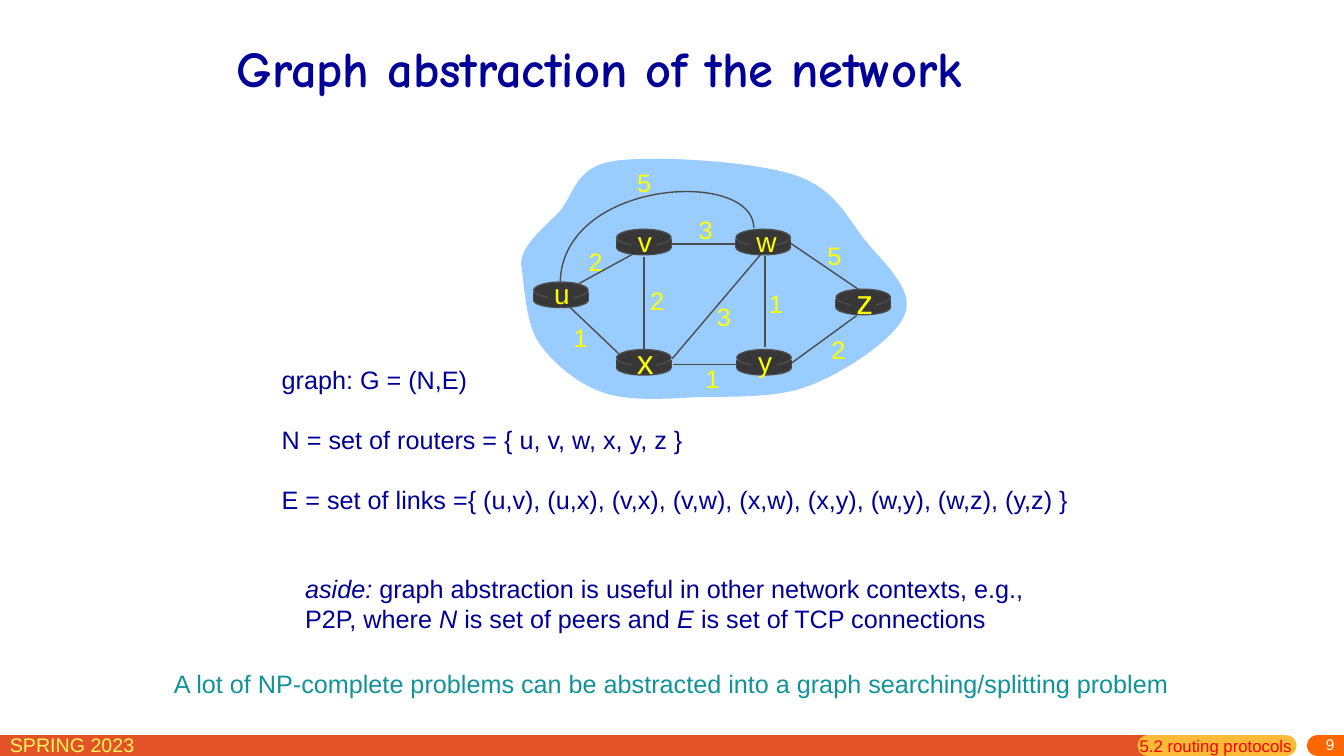
from lxml import etree
from pptx import Presentation, util as u
from pptx.dml.color import RGBColor
from pptx.enum import shapes, text
from pptx.oxml.ns import qn

NAVY = RGBColor(0x00, 0x00, 0x99)
TEAL = RGBColor(0x10, 0x94, 0x99)
SKY = RGBColor(0x99, 0xCC, 0xFF)
CHARCOAL = RGBColor(0x37, 0x37, 0x37)
GREY = RGBColor(0x4C, 0x4C, 0x4C)
YELLOW = RGBColor(0xFF, 0xFF, 0x00)
LEMON = RGBColor(0xFF, 0xF6, 0x5C)
BRICK = RGBColor(0xE4, 0x53, 0x27)
AMBER = RGBColor(0xFF, 0xBA, 0x37)
ORANGE = RGBColor(0xFF, 0x66, 0x00)
RED = RGBColor(0xFF, 0x00, 0x00)
WHITE = RGBColor(0xFF, 0xFF, 0xFF)

# All lengths below are centimetres; graph parts are relative to the graph's box.
CLOUD = [
    (0, 2.74), (0.03, 2.24), (0.56, 1.85), (0.97, 1.42), (1.35, 0.99), (1.35, 0.3),
    (2.34, 0.15), (3.3, 0), (5.77, 0.15), (6.83, 0.48), (7.9, 0.81), (8.2, 1.55),
    (8.66, 2.13), (9.14, 2.72), (9.91, 3.38), (9.68, 3.99), (9.47, 4.6), (8.2, 5.44),
    (7.32, 5.79), (6.43, 6.15), (5.26, 6.07), (4.37, 6.1), (3.51, 6.15), (2.69, 6.2),
    (2.03, 5.97), (1.4, 5.74), (0.79, 5.23), (0.43, 4.7), (0.1, 4.17), (0.08, 3.15),
    (0, 2.74),
]
ARC_U_W = [(5.87, 1.83), (5.84, 0.33), (1.07, 0.61), (0.99, 3.18)]
ARC_COST = ("5", (3.1, 0.69))
LINKS = [  # start, end, cost, centre of the cost
    ((1.47, 3.23), (2.97, 2.41), "2", (1.88, 2.69)),
    ((3.1, 2.57), (3.1, 4.93), "2", (3.43, 3.66)),
    ((2.46, 5), (1.24, 3.84), "1", (1.5, 4.6)),
    ((3.81, 5.13), (6.05, 2.49), "3", (5.11, 4.06)),
    ((5.46, 5.28), (3.84, 5.28), "1", (4.83, 5.64)),
    ((6.15, 2.54), (6.15, 4.83), "1", (6.43, 3.73)),
    ((6.83, 5.23), (8.46, 4.04), "2", (8, 4.9)),
    ((8.53, 3.4), (6.78, 2.21), "5", (7.9, 2.54)),
    ((5.44, 2.24), (3.81, 2.24), "3", (4.65, 1.88)),
]
ROUTERS = [  # name, left, top, text size
    ("u", 0.32, 3.2, 20), ("x", 2.41, 4.9, 24), ("v", 2.41, 1.87, 20),
    ("w", 5.42, 1.87, 20), ("y", 5.44, 4.9, 20), ("z", 7.94, 3.38, 24),
]


def add_runs(paragraph, runs, size, color, name="Arial", bold=False):
    """Fill a paragraph from (words, italic) pairs."""
    for words, italic in runs:
        run = paragraph.add_run()
        run.text = words
        run.font.color.rgb = color
        style = {"size": u.Pt(size), "name": name, "bold": bold, "italic": italic}
        for attribute, value in style.items():
            setattr(run.font, attribute, value)


def add_text(slide, box, lines, size, color, align=text.PP_ALIGN.LEFT,
             anchor=text.MSO_ANCHOR.TOP, gap=0, wrap=False):
    """Place a text box; each line is a string or a list of (words, italic)."""
    frame = slide.shapes.add_textbox(*map(u.Cm, box)).text_frame
    frame.word_wrap = wrap
    frame.vertical_anchor = anchor
    for index, line in enumerate(lines):
        paragraph = frame.add_paragraph() if index else frame.paragraphs[0]
        paragraph.alignment = align
        paragraph.space_before = u.Pt(gap if index else 0)
        add_runs(paragraph, [(line, False)] if isinstance(line, str) else line, size, color)
    return frame


def add_centred(slide, x, y, label, size):
    """Centre a one-letter label on a point, in a box as high as its line."""
    width, height = 0.9, round(0.25 + size * 0.0425, 2)
    add_text(slide, (x - width / 2, y - height / 2, width, height), [label], size, YELLOW,
             text.PP_ALIGN.CENTER)


def add_line(slide, start, end, color=GREY, width=1, cap="flat"):
    line = slide.shapes.add_connector(
        shapes.MSO_CONNECTOR.STRAIGHT, *map(u.Cm, (*start, *end)))
    line.line.color.rgb = color
    line.line.width = u.Pt(width)
    line.line._get_or_add_ln().set("cap", cap)
    etree.SubElement(line._element.spPr, qn("a:effectLst"))


def add_solid(slide, kind, box, outlined=False):
    shape = slide.shapes.add_shape(kind, *map(u.Cm, box))
    shape.shadow.inherit = False
    shape.fill.solid()
    shape.fill.fore_color.rgb = CHARCOAL
    if outlined:
        shape.line.color.rgb = GREY
        shape.line.width = u.Pt(1)
    else:
        shape.line.fill.background()


def add_curve(slide, left, top, controls, close):
    """Draw a chain of cubic Bézier segments that share their end points."""
    start, *rest = [(u.Cm(left + x), u.Cm(top + y)) for x, y in controls]
    builder = slide.shapes.build_freeform(*start)
    builder.add_line_segments(rest, close=close)
    shape = builder.convert_to_shape()
    shape.shadow.inherit = False
    sides = list(shape._element.iter(qn("a:lnTo")))
    for first in range(0, len(rest), 3):
        curve = etree.Element(qn("a:cubicBezTo"))
        sides[first].addprevious(curve)
        for side in sides[first:first + 3]:
            curve.append(side[0])
            side.getparent().remove(side)
    return shape


def add_router(slide, left, top, name, size):
    width, side_top, side_height = 1.37, top + 0.25, 0.22
    add_solid(slide, shapes.MSO_SHAPE.OVAL, (left, top + 0.28, width, 0.36), True)
    for x in (left, left + width):
        add_line(slide, (x, side_top), (x, side_top + side_height))
    add_solid(slide, shapes.MSO_SHAPE.RECTANGLE, (left, side_top, width, side_height))
    add_solid(slide, shapes.MSO_SHAPE.OVAL, (left, top, width, 0.41), True)
    add_solid(slide, shapes.MSO_SHAPE.RECTANGLE, (left + 0.37, top + 0.04, 0.63, 0.58))
    add_centred(slide, left + 0.71, top + 0.29, name, size)


def add_graph(slide, left, top):
    cloud = add_curve(slide, left, top, CLOUD, True)
    cloud.fill.solid()
    cloud.fill.fore_color.rgb = SKY
    cloud.line.fill.background()
    for start, end, _, _ in LINKS:
        add_line(slide, *((left + x, top + y) for x, y in (start, end)))
    arc = add_curve(slide, left, top, ARC_U_W, False)
    arc.fill.background()
    arc.line.color.rgb = GREY
    arc.line.width = u.Pt(1)
    for name, x, y, size in ROUTERS:
        add_router(slide, left + x, top + y, name, size)
    for cost, (x, y) in [link[2:] for link in LINKS] + [ARC_COST]:
        add_centred(slide, left + x, top + y, cost, 18)


def add_title(slide, box):
    title = slide.shapes.title
    for attribute, value in zip(("left", "top", "width", "height"), box):
        setattr(title, attribute, u.Cm(value))
    title.text_frame.vertical_anchor = text.MSO_ANCHOR.MIDDLE
    paragraph = title.text_frame.paragraphs[0]
    paragraph.alignment = text.PP_ALIGN.LEFT
    add_runs(paragraph, [("Graph abstraction of the network", False)], 36, NAVY,
             "Comic Neue", True)


def add_explanations(slide):
    add_text(slide, (6.85, 9.05, 20.55, 4.06), [
        "graph: G = (N,E)",
        "N = set of routers = { u, v, w, x, y, z }",
        "E = set of links ={ (u,v), (u,x), (v,x), (v,w), (x,w), (x,y), (w,y), (w,z), (y,z) }",
    ], 18, NAVY, gap=21.5)
    add_text(slide, (7.44, 14.32, 18.8, 1.78), [
        [("aside:", True),
         (" graph abstraction is useful in other network contexts, e.g.,", False)],
        [("P2P, where ", False), ("N", True), (" is set of peers and ", False),
         ("E", True), (" is set of TCP connections", False)],
    ], 18, NAVY)
    add_text(slide, (4.01, 16.71, 25.81, 1.02), [
        "A lot of NP-complete problems can be abstracted into a graph searching/splitting problem",
    ], 18, TEAL, text.PP_ALIGN.CENTER, wrap=True)


def add_footer(slide, right, middle):
    for start, end, color in ((0, 28.93, BRICK), (28.93, 32.41, AMBER), (33.2, right, ORANGE)):
        add_line(slide, (start, middle), (end, middle), color, 15, "rnd")
    add_text(slide, (0, middle - 0.44, 5.82, 0.79), ["SPRING 2023"], 14, LEMON, wrap=True)
    add_text(slide, (28.47, middle - 0.38, 4.67, 0.79), ["5.2 routing protocols"], 12, RED,
             wrap=True)
    number = add_text(slide, (27.3, middle - 0.2, 6.58, 0.46), ["9"], 11, WHITE,
                      text.PP_ALIGN.RIGHT, text.MSO_ANCHOR.MIDDLE, wrap=True)
    number.margin_top, number.margin_bottom = 0, u.Cm(0.13)


def main():
    presentation = Presentation()
    presentation.slide_width, presentation.slide_height = u.Cm(33.87), u.Cm(19.05)
    slide = presentation.slides.add_slide(presentation.slide_layouts[5])
    add_footer(slide, 33.87, 18.79)
    add_graph(slide, 13.13, 3.91)
    add_title(slide, (5.71, 0.58, 21.59, 2.21))
    add_explanations(slide)
    presentation.save("out.pptx")


if __name__ == "__main__":
    main()
